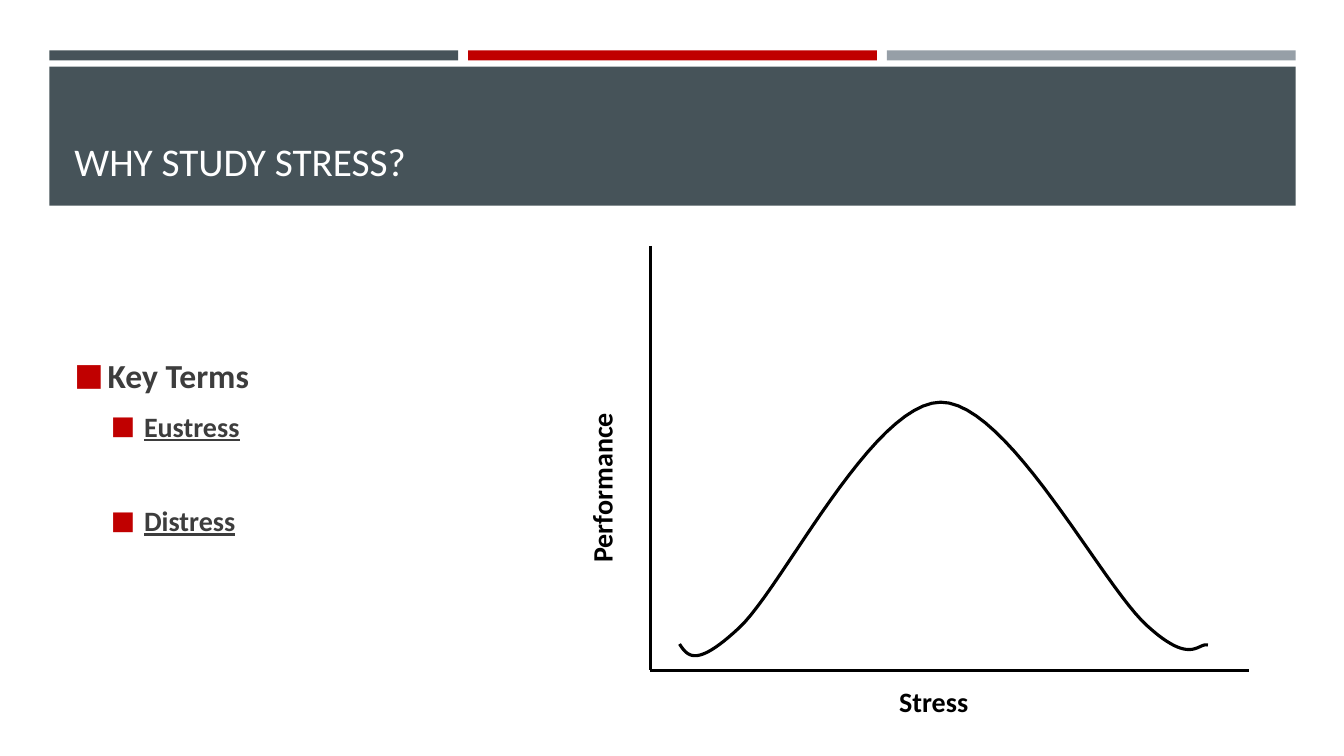
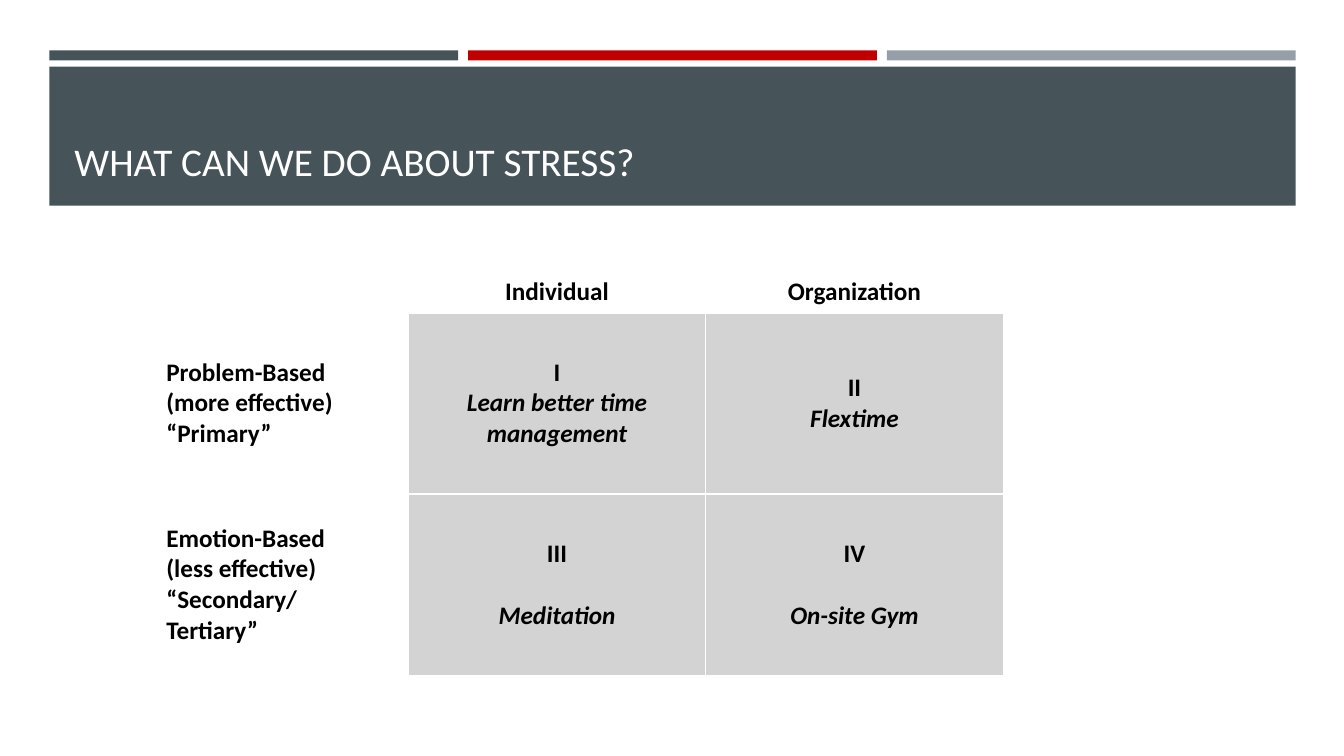
from dataclasses import dataclass

from lxml import etree
from pptx import Presentation
from pptx.dml.color import RGBColor
from pptx.enum import shapes, text
from pptx.oxml import ns
from pptx.util import Inches, Pt


@dataclass(frozen=True)
class Theme:
    slate: str = "465359"
    red: str = "C00000"
    gray: str = "969FA7"
    cell: str = "D3D3D3"
    body: str = "3D3D3D"
    white: str = "FFFFFF"
    black: str = "000000"
    font: str = "Calibri"
    title: int = 28
    lead: int = 24
    term: int = 20
    grid: int = 18
    axis: float = 2.25


T = Theme()
LEFT, WIDE, GAP = 0.49, 12.36, 0.1
TITLES = ["WHY STUDY STRESS?", "WHAT CAN WE DO ABOUT STRESS?"]

# text, size, underline, indent (inches), space before (points)
TERMS = [
    ("Key Terms", T.lead, False, 0.33, 5),
    ("Eustress", T.term, True, 0.69, 4),
    ("Distress", T.term, True, 0.69, 37.5),
]
LABELS = [
    ("Stress", (8.82, 6.74, 1.1, 0.44), 0),
    ("Performance", (4.92, 4.41, 2.1, 0.44), 270),
]
AXES = [(6.45, 2.44, 6.45, 6.65), (6.45, 6.65, 12.39, 6.65)]
START = (6.74, 6.39)
CURVE = [
    ((6.82, 6.51), (6.9, 6.63), (7.33, 6.23)),
    ((7.76, 5.83), (8.65, 4), (9.33, 3.99)),
    ((10, 3.99), (10.93, 5.81), (11.38, 6.21)),
    ((11.82, 6.61), (11.88, 6.37), (11.98, 6.4)),
]

HEADS = ["Individual", "Organization"]
# row heading lines, then (number, action) pairs, then space before the action
ROWS = [
    (["Problem-Based", "(more effective)", "“Primary”"],
     [("I", "Learn better time management"), ("II", "Flextime")], 0),
    (["Emotion-Based", "(less effective)", "“Secondary/", "Tertiary”"],
     [("III", "Meditation"), ("IV", "On-site Gym")], 22),
]
COLS, HIGHS = [2.5, 2.95, 2.95], [0.5, 1.8, 1.8]


def rgb(code):
    return RGBColor.from_string(code)


def box(at):
    return [Inches(n) for n in at]


def add_run(para, words, size, color, bold=False, italic=False, under=False):
    run = para.add_run()
    run.text = words
    font = run.font
    font.name, font.size = T.font, Pt(size)
    font.bold, font.italic, font.underline = bold, italic, under
    font.color.rgb = rgb(color)


def get_para(frame, index):
    return frame.paragraphs[0] if index == 0 else frame.add_paragraph()


def add_text(slide, at, anchor=text.MSO_ANCHOR.TOP):
    shape = slide.shapes.add_textbox(*box(at))
    frame = shape.text_frame
    frame.word_wrap, frame.vertical_anchor = True, anchor
    return shape


def add_bar(slide, at, color):
    bar = slide.shapes.add_shape(shapes.MSO_SHAPE.RECTANGLE, *box(at))
    bar.shadow.inherit = False
    bar.fill.solid()
    bar.fill.fore_color.rgb = rgb(color)
    bar.line.fill.background()


def add_frame(deck, title):
    """Add a slide with the shared bars, title band and title."""
    slide = deck.slides.add_slide(deck.slide_layouts[6])
    tints = [T.slate, T.red, T.gray]
    width = (WIDE - GAP * (len(tints) - 1)) / len(tints)
    for i, tint in enumerate(tints):
        add_bar(slide, (LEFT + i * (width + GAP), 0.5, width, 0.1), tint)
    add_bar(slide, (LEFT, 0.66, WIDE, 1.38), T.slate)
    head = add_text(slide, (0.64, 0.8, 12.06, 1.08), text.MSO_ANCHOR.BOTTOM)
    add_run(head.text_frame.paragraphs[0], title, T.title, T.white)
    return slide


def add_bullet(para, indent):
    props = para._p.get_or_add_pPr()
    props.set("marL", str(Inches(indent)))
    props.set("indent", str(-Inches(0.33)))
    color = etree.SubElement(props, ns.qn("a:buClr"))
    etree.SubElement(color, ns.qn("a:srgbClr"), val=T.red)
    etree.SubElement(props, ns.qn("a:buSzPct"), val="92000")
    etree.SubElement(props, ns.qn("a:buFont"), typeface=T.font)
    etree.SubElement(props, ns.qn("a:buChar"), char="■")


def add_terms(slide):
    shape = add_text(slide, (0.64, 2.44, 5.93, 3.97), text.MSO_ANCHOR.MIDDLE)
    for i, (words, size, under, indent, before) in enumerate(TERMS):
        para = get_para(shape.text_frame, i)
        para.space_before, para.space_after = Pt(before), Pt(6)
        add_bullet(para, indent)
        add_run(para, words, size, T.body, bold=True, under=under)


def trace(start, curve, steps=24):
    """Yield points along a chain of cubic curves."""
    for one, two, end in curve:
        for step in range(1, steps + 1):
            t = step / steps
            u = 1 - t
            yield tuple(
                Inches(u**3 * a + 3 * u * u * t * b + 3 * u * t * t * c + t**3 * d)
                for a, b, c, d in zip(start, one, two, end))
        start = end


def set_line(shape):
    shape.line.color.rgb = rgb(T.black)
    shape.line.width = Pt(T.axis)


def add_graph(slide):
    for ends in AXES:
        axis = slide.shapes.add_connector(shapes.MSO_CONNECTOR.STRAIGHT, *box(ends))
        set_line(axis)
        etree.SubElement(axis._element.spPr, ns.qn("a:effectLst"))
    path = slide.shapes.build_freeform(*box(START), scale=1.0)
    path.add_line_segments(list(trace(START, CURVE)), close=False)
    curve = path.convert_to_shape()
    curve.shadow.inherit = False
    curve.fill.background()
    set_line(curve)
    for words, at, turn in LABELS:
        label = add_text(slide, at)
        label.rotation = turn
        add_run(label.text_frame.paragraphs[0], words, T.term, T.black, bold=True)


def set_cell(cell, lines, fill=None, center=True, anchor=text.MSO_ANCHOR.MIDDLE,
             edge=1):
    """Fill a cell with (words, italic, space before) lines and white borders."""
    props = cell._tc.get_or_add_tcPr()
    for side in "LRTB":
        width = Pt(edge if side == "B" else 1)
        line = etree.SubElement(props, ns.qn(f"a:ln{side}"), w=str(width))
        solid = etree.SubElement(line, ns.qn("a:solidFill"))
        etree.SubElement(solid, ns.qn("a:srgbClr"), val=T.white)
    if fill:
        cell.fill.solid()
        cell.fill.fore_color.rgb = rgb(fill)
    else:
        cell.fill.background()
    cell.vertical_anchor = anchor
    for i, (words, italic, before) in enumerate(lines):
        para = get_para(cell.text_frame, i)
        para.alignment = text.PP_ALIGN.CENTER if center else text.PP_ALIGN.LEFT
        para.space_before = Pt(before)
        add_run(para, words, T.grid, T.black, bold=True, italic=italic)


def add_grid(slide):
    at = (1.55, 2.6, sum(COLS), sum(HIGHS))
    grid = slide.shapes.add_table(len(HIGHS), len(COLS), *box(at)).table
    grid.first_row = grid.horz_banding = False
    for col, width in zip(grid.columns, COLS):
        col.width = Inches(width)
    for row, high in zip(grid.rows, HIGHS):
        row.height = Inches(high)
    for c, head in enumerate(["", *HEADS]):
        lines = [(head, False, 0)] if head else []
        set_cell(grid.cell(0, c), lines, anchor=text.MSO_ANCHOR.BOTTOM, edge=3)
    for r, (side, pairs, before) in enumerate(ROWS, 1):
        set_cell(grid.cell(r, 0), [(words, False, 0) for words in side], center=False)
        for c, (number, action) in enumerate(pairs, 1):
            lines = [(number, False, 0), (action, True, before)]
            set_cell(grid.cell(r, c), lines, T.cell)


def main():
    deck = Presentation()
    deck.slide_width, deck.slide_height = Inches(13.33), Inches(7.5)
    why, what = [add_frame(deck, title) for title in TITLES]
    add_terms(why)
    add_graph(why)
    add_grid(what)
    deck.save("out.pptx")


if __name__ == "__main__":
    main()
